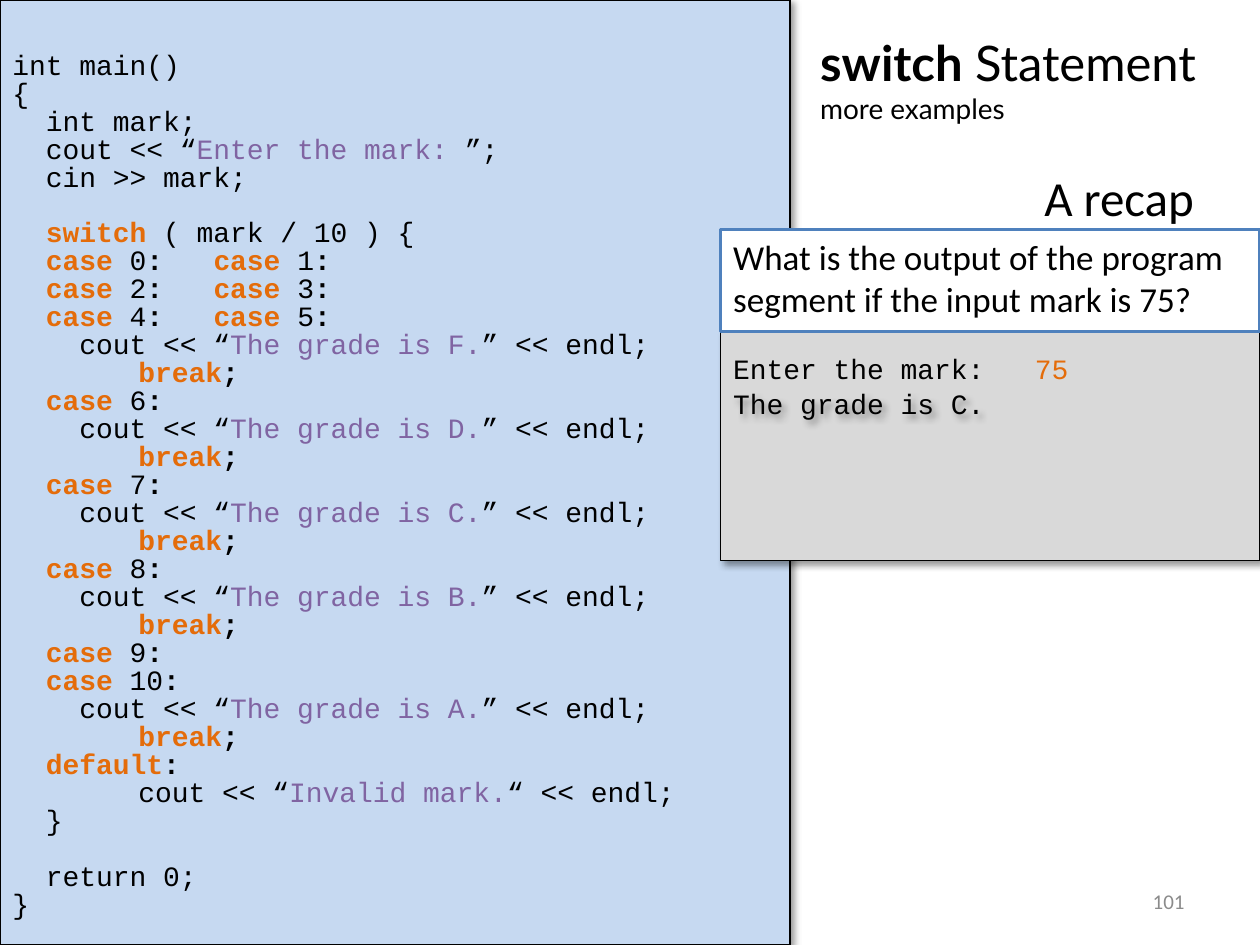
from lxml import etree
from pptx import Presentation
from pptx.dml.color import RGBColor
from pptx.enum.shapes import MSO_SHAPE
from pptx.enum.text import MSO_ANCHOR, PP_ALIGN
from pptx.oxml.ns import qn
from pptx.util import Inches, Pt

RECT = MSO_SHAPE.RECTANGLE
TOP, MIDDLE = MSO_ANCHOR.TOP, MSO_ANCHOR.MIDDLE
LEFT, RIGHT = PP_ALIGN.LEFT, PP_ALIGN.RIGHT
BLACK, ORANGE, PURPLE = "000000", "E46C0A", "8064A2"
MARKS = {"@": (ORANGE, True), "!": (BLACK, True), "#": (PURPLE, False), "+": (ORANGE, False)}
MONO, SANS, HEAD = "Courier New", "Calibri", "Lato"


def rgb(value):
    return RGBColor.from_string(value)


class Deck:
    """Style and current slide, laid out on a grid of 100 columns by 75 rows."""

    def __init__(self):
        self.prs = Presentation()
        self.prs.slide_width, self.prs.slide_height = Inches(10), Inches(7.5)
        self.s = self.prs.slides.add_slide(self.prs.slide_layouts[5])

    def box(self, col, row, cols, rows):
        w, h = self.prs.slide_width / 100, self.prs.slide_height / 75
        return [round(v) for v in (col * w, row * h, cols * w, rows * h)]

    def frame(self, sp, anchor, top=0.05, wrap=True):
        tf = sp.text_frame
        tf.word_wrap, tf.vertical_anchor = wrap, anchor
        tf.margin_left = tf.margin_right = Inches(0.1)
        tf.margin_top, tf.margin_bottom = Inches(top), Inches(0.05)
        return tf

    def shadow(self, sp):
        effects = etree.SubElement(sp._element.spPr, qn("a:effectLst"))
        outer = etree.SubElement(effects, qn("a:outerShdw"), blurRad=str(Pt(4)),
                                 dist=str(Pt(3)), dir="2700000", rotWithShape="0")
        color = etree.SubElement(outer, qn("a:srgbClr"), val=BLACK)
        etree.SubElement(color, qn("a:alpha"), val="40000")

    def panel(self, area, fill, line, width, shadow=False, **frame):
        sp = self.s.shapes.add_shape(RECT, *self.box(*area))
        sp.fill.solid()
        sp.fill.fore_color.rgb = rgb(fill)
        sp.line.color.rgb = rgb(line)
        sp.line.width = Pt(width)
        if shadow:
            self.shadow(sp)
        else:
            sp.shadow.inherit = False
        return self.frame(sp, **frame)

    def label(self, area, shadow=False, **frame):
        sp = self.s.shapes.add_textbox(*self.box(*area))
        if shadow:
            sp.fill.background()
            self.shadow(sp)
        return self.frame(sp, **frame)

    def run(self, p, text, size, font, color=BLACK, bold=False):
        r = p.add_run()
        r.text = text
        r.font.size, r.font.name, r.font.bold = Pt(size), font, bold
        r.font.color.rgb = rgb(color)

    def line(self, p, marked, size, font, color=BLACK, align=LEFT):
        p.alignment = align
        for part in filter(None, marked.split("|")):
            tint, bold = MARKS.get(part[0], (color, False))
            self.run(p, part[1:] if part[0] in MARKS else part, size, font, tint, bold)

    def title(self, area, name, rest, subtitle):
        sp = self.s.shapes.title
        sp.left, sp.top, sp.width, sp.height = self.box(*area)
        p = self.frame(sp, MIDDLE).paragraphs[0]
        p.alignment = LEFT
        self.run(p, name, 28, HEAD, bold=True)
        self.run(p, rest, 28, HEAD)
        p.add_line_break()
        self.run(p, subtitle, 16, HEAD)

    def code(self, tf, blocks):
        lines = [(text, i > 0 and j == 0)
                 for i, block in enumerate(blocks) for j, text in enumerate(block)]
        for n, (text, gap) in enumerate(lines):
            p = tf.add_paragraph() if n else tf.paragraphs[0]
            p.line_spacing = Pt(16)
            p.space_before = Pt(16 if gap else 0)
            if text.startswith("\t"):
                p._p.get_or_add_pPr().set("marL", str(Inches(1)))
            self.line(p, text.lstrip("\t"), 16, MONO)


def cases(*numbers):
    return "  " + "|   ".join(f"|@case |{n}|!:" for n in numbers)


def grade(letter):
    return [f"    cout << “|#The grade is {letter}.|” << endl;", "\t|@break|!;"]


def main():
    deck = Deck()
    deck.title((64.1, 0, 51.2, 12.5), "switch", " Statement", "more examples")

    switch = ["  |@switch |( mark / 10 ) {"]
    switch += [cases(0, 1), cases(2, 3), cases(4, 5), *grade("F")]
    for number, letter in ((6, "D"), (7, "C"), (8, "B")):
        switch += [cases(number), *grade(letter)]
    switch += [cases(9), cases(10), *grade("A")]
    switch += ["  |@default|!:", "\tcout << “|#Invalid mark.|“ << endl;", "  }"]
    start = ["int main()", "{", "  int mark;",
             "  cout << “|#Enter the mark: |”;", "  cin >> mark;"]
    tf = deck.panel((0, 0, 62.7, 75), "C6D9F1", BLACK, 0.75, True, anchor=MIDDLE, top=0.27)
    deck.code(tf, [start, switch, ["  return 0;", "}"]])

    tf = deck.panel((57.2, 26.3, 42.8, 18.2), "D9D9D9", BLACK, 0.75, True, anchor=TOP, top=0.16)
    deck.line(tf.paragraphs[0], "Enter the mark:   |+75", 16, MONO)
    tf = deck.label((57.2, 28.8, 43.7, 8.6), True, anchor=TOP, top=0.19)
    deck.line(tf.paragraphs[0], "The grade is C.", 16, MONO)

    tf = deck.label((71.7, 69.5, 23.3, 4), anchor=MIDDLE)
    deck.line(tf.paragraphs[0], "101", 12, SANS, "8B8B8B", RIGHT)

    tf = deck.panel((57.2, 18.2, 42.8, 8.1), "FFFFFF", "4F81BD", 2, anchor=TOP)
    tf.paragraphs[0].space_before = Pt(4)
    question = "What is the output of the program segment if the input mark is 75?"
    deck.line(tf.paragraphs[0], question, 20, SANS)

    tf = deck.label((81.9, 12.8, 16.7, 5.6), anchor=TOP, wrap=False)
    deck.line(tf.paragraphs[0], "A recap", 28, SANS)
    deck.prs.save("out.pptx")


if __name__ == "__main__":
    main()
